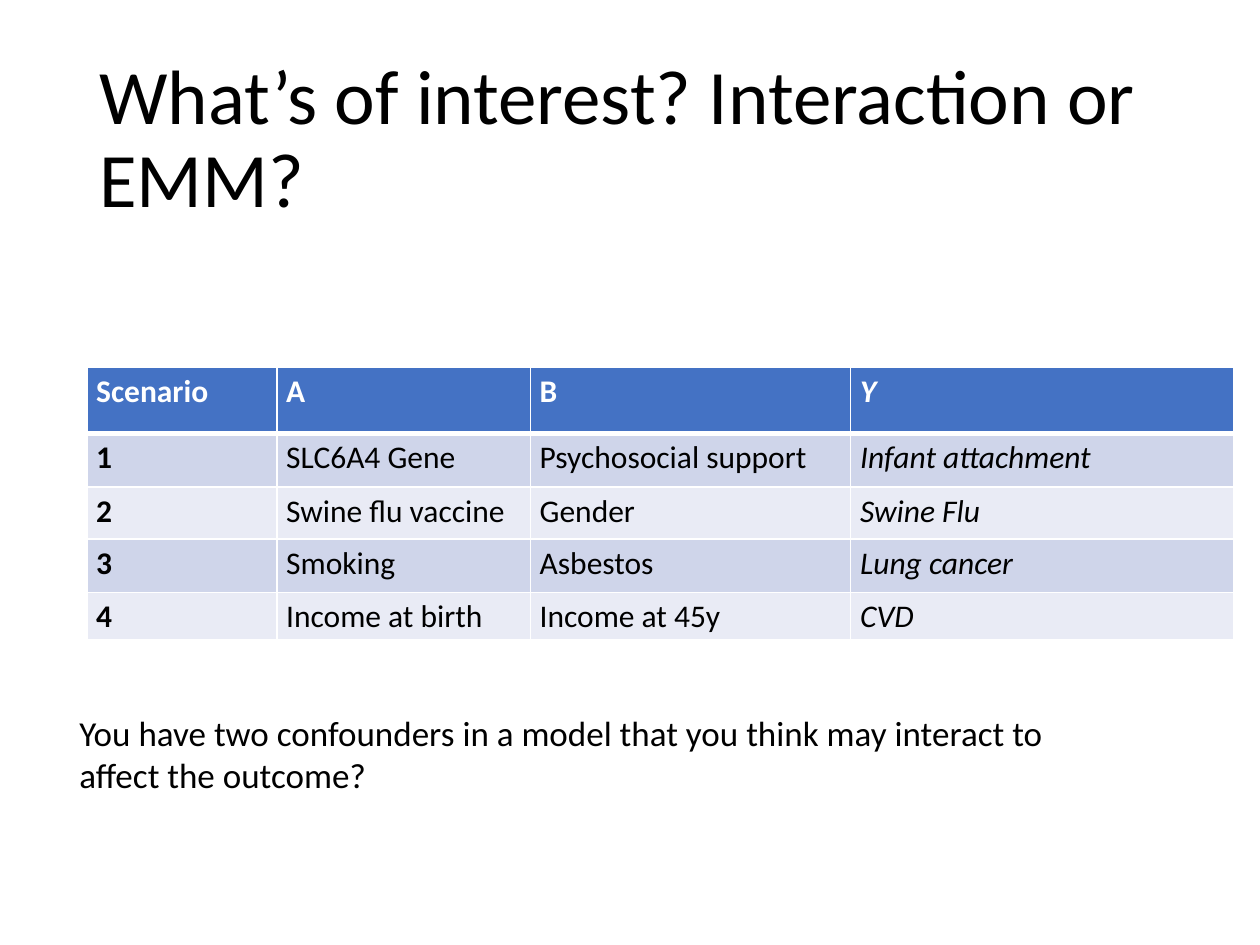
from dataclasses import dataclass

from lxml import etree
from pptx import Presentation
from pptx import util as u
from pptx.dml.color import RGBColor
from pptx.enum import text
from pptx.oxml.ns import qn


@dataclass(frozen=True)
class Theme:
    font: str = "Calibri"
    ink: str = "000000"
    white: str = "FFFFFF"
    header: str = "4472C4"
    bands: tuple[str, str] = ("CFD5EA", "E9EBF5")
    title_size: int = 44
    note_size: int = 20
    table_size: int = 18
    thin: int = 1
    thick: int = 3


@dataclass(frozen=True)
class TextBlock:
    content: str
    left: float
    top: float
    width: float
    height: float
    size: int
    anchor: text.MSO_ANCHOR = text.MSO_ANCHOR.TOP
    line_spacing: float = 1.0


THEME = Theme()

# Positions and sizes in centimetres
TITLE = TextBlock("What’s of interest? Interaction or EMM?", 1.75, 1.01, 21.9, 3.68,
                  THEME.title_size, text.MSO_ANCHOR.MIDDLE, 0.9)
NOTE = TextBlock("You have two confounders in a model that you think may interact to "
                 "affect the outcome?", 1.35, 14.22, 21.49, 1.96, THEME.note_size)

TABLE_LEFT, TABLE_TOP = 1.75, 7.4
COLUMN_WIDTHS = (3.83, 5.11, 6.46, 7.73)
ROW_HEIGHTS = (1.34, 1.08, 1.05, 1.07, 0.95)
SCENARIOS = (
    ("Scenario", "A", "B", "Y"),
    ("1", "SLC6A4 Gene", "Psychosocial support", "Infant attachment"),
    ("2", "Swine flu vaccine", "Gender", "Swine Flu"),
    ("3", "Smoking", "Asbestos", "Lung cancer"),
    ("4", "Income at birth", "Income at 45y", "CVD"),
)


def style_font(font, size: int, color: str, bold: bool = False, italic: bool = False) -> None:
    font.name = THEME.font
    font.size = u.Pt(size)
    font.color.rgb = RGBColor.from_string(color)
    font.bold = bold
    font.italic = italic


def add_text(slide, block: TextBlock) -> None:
    shape = slide.shapes.add_textbox(u.Cm(block.left), u.Cm(block.top),
                                     u.Cm(block.width), u.Cm(block.height))
    frame = shape.text_frame
    frame.word_wrap = True
    frame.vertical_anchor = block.anchor
    paragraph = frame.paragraphs[0]
    paragraph.text = block.content
    paragraph.line_spacing = block.line_spacing
    style_font(paragraph.font, block.size, THEME.ink)


def set_borders(cell, top: int, bottom: int) -> None:
    properties = cell._tc.get_or_add_tcPr()
    edges = (("a:lnL", THEME.thin), ("a:lnR", THEME.thin), ("a:lnT", top), ("a:lnB", bottom))
    for index, (tag, width) in enumerate(edges):
        line = etree.Element(qn(tag), w=str(u.Pt(width)))
        fill = etree.SubElement(line, qn("a:solidFill"))
        etree.SubElement(fill, qn("a:srgbClr"), val=THEME.white)
        properties.insert(index, line)


def fill_cell(cell, content: str, row: int, column: int) -> None:
    is_header = row == 0
    cell.margin_left = cell.margin_right = u.Cm(0.19)
    cell.margin_top = cell.margin_bottom = u.Cm(0.1)
    cell.fill.solid()
    cell.fill.fore_color.rgb = RGBColor.from_string(
        THEME.header if is_header else THEME.bands[(row - 1) % 2])
    paragraph = cell.text_frame.paragraphs[0]
    paragraph.text = content
    style_font(paragraph.font, THEME.table_size, THEME.white if is_header else THEME.ink,
               bold=is_header or column == 0, italic=column == len(COLUMN_WIDTHS) - 1)
    set_borders(cell, top=THEME.thick if row == 1 else THEME.thin,
                bottom=THEME.thick if is_header else THEME.thin)


def add_scenario_table(slide) -> None:
    frame = slide.shapes.add_table(
        len(ROW_HEIGHTS), len(COLUMN_WIDTHS), u.Cm(TABLE_LEFT), u.Cm(TABLE_TOP),
        u.Cm(sum(COLUMN_WIDTHS)), u.Cm(sum(ROW_HEIGHTS)))
    table = frame.table
    for column, width in zip(table.columns, COLUMN_WIDTHS):
        column.width = u.Cm(width)
    for row, height in zip(table.rows, ROW_HEIGHTS):
        row.height = u.Cm(height)
    for row_index, values in enumerate(SCENARIOS):
        for column_index, value in enumerate(values):
            fill_cell(table.cell(row_index, column_index), value, row_index, column_index)


def main() -> None:
    presentation = Presentation()
    presentation.slide_width, presentation.slide_height = u.Cm(25.4), u.Cm(19.05)
    slide = presentation.slides.add_slide(presentation.slide_layouts[6])

    # Heading, scenarios and closing question
    add_text(slide, TITLE)
    add_scenario_table(slide)
    add_text(slide, NOTE)

    presentation.save("out.pptx")


if __name__ == "__main__":
    main()
